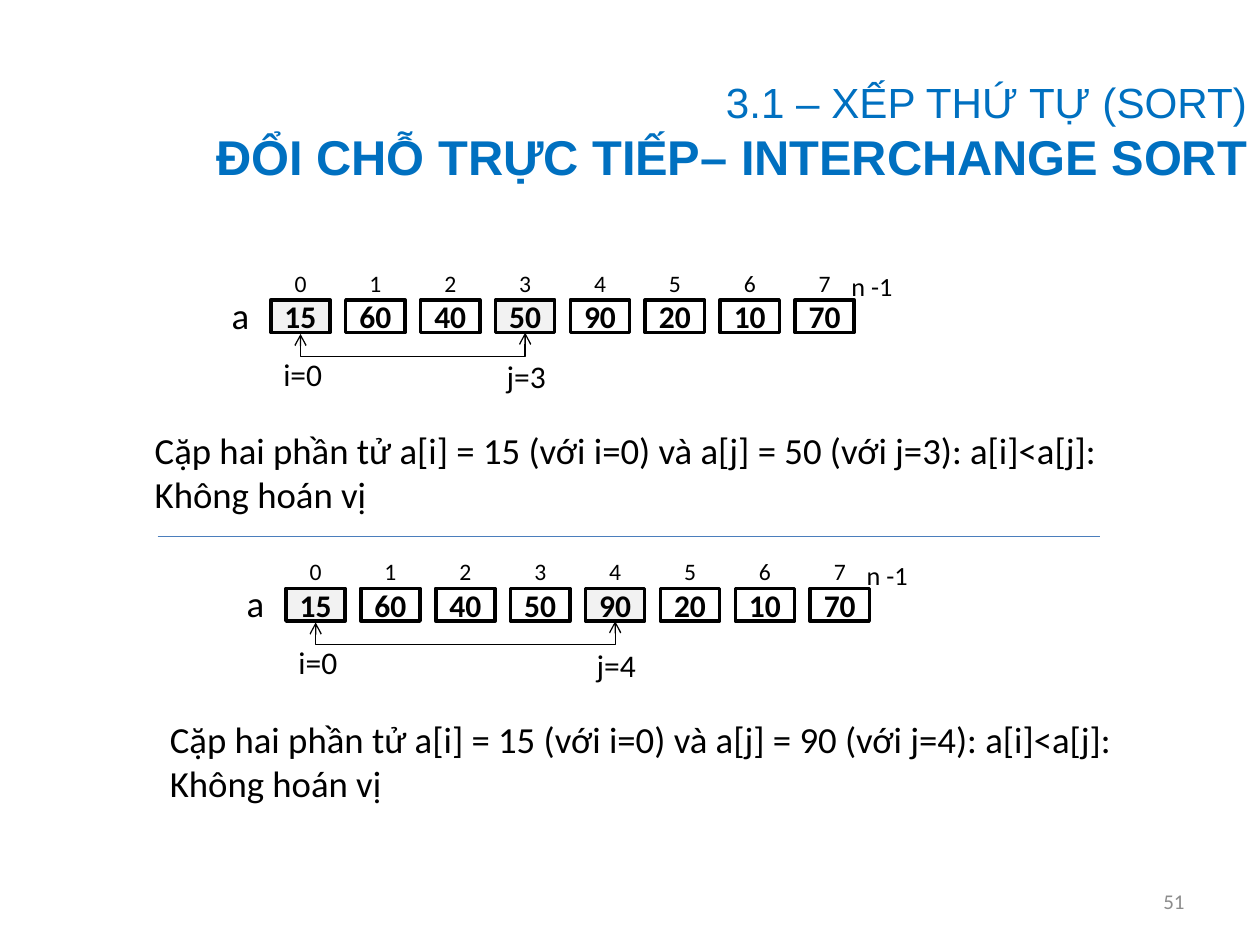
from pptx import Presentation
from pptx.dml.color import RGBColor
from pptx.enum.shapes import MSO_CONNECTOR, MSO_SHAPE
from pptx.enum.text import MSO_ANCHOR, PP_ALIGN
from pptx.oxml.ns import qn
from pptx.util import Inches, Pt
from lxml.etree import SubElement

TITLE = ["3.1 – XẾP THỨ TỰ (SORT)", "ĐỔI CHỖ TRỰC TIẾP– INTERCHANGE SORT"]
VALUES = [15, 60, 40, 50, 90, 20, 10, 70]
STEPS = [
    {"i": 0, "j": 3, "left": 2.15, "top": 2.38},
    {"i": 0, "j": 4, "left": 2.27, "top": 4.67},
]
PAGE = "51"
THEME = {
    "body": "Calibri", "head": "Arial",
    "ink": "000000", "title": "0070C0", "muted": "8C8C8C", "rule": "4B7EBC",
    "cell": "FFFFFF", "active": "F2F2F2",
    "kicker": 24.1, "heading": 27.9, "text": 21, "value": 18,
    "bound": 15, "index": 13.5, "page": 12,
}
CELL_W, CELL_H, PITCH, DROP = 0.47, 0.26, 4.16 / 7, 0.19


def rgb(name):
    """Return a theme colour."""
    return RGBColor.from_string(THEME[name])


def write(s, lines, sizes, color="ink", font="body", align=None, bolds=(False,)):
    """Fill a shape with one paragraph per line."""
    tf = s.text_frame
    tf.word_wrap = True
    tf.vertical_anchor = MSO_ANCHOR.MIDDLE
    for n, line in enumerate(lines):
        p = tf.paragraphs[0] if n == 0 else tf.add_paragraph()
        p.text = line
        p.alignment = align
        p.font.name = THEME[font]
        p.font.size = Pt(THEME[sizes[n % len(sizes)]])
        p.font.bold = bolds[n % len(bolds)]
        p.font.color.rgb = rgb(color)
    return tf


def add_text(sp, box, lines, *sizes, **style):
    """Add a text box."""
    s = sp.add_textbox(*map(Inches, box))
    return write(s, lines, sizes, **style)


def add_line(sp, kind, ends, color):
    """Add a thin connector without a shadow."""
    c = sp.add_connector(kind, *map(Inches, ends))
    c.line.color.rgb = rgb(color)
    c.line.width = Pt(0.75)
    SubElement(c._element.spPr, qn("a:effectLst"))
    return c


def add_bracket(sp, x_i, x_j, y):
    """Join two cells from below with a double-headed elbow."""
    depth, mid, half = 0.01, (x_i + x_j) / 2, (x_j - x_i) / 2
    cy = y + depth / 2
    ends = (mid - depth / 2, cy - half, mid + depth / 2, cy + half)
    c = add_line(sp, MSO_CONNECTOR.ELBOW, ends, "ink")
    pr = c._element.spPr
    pr.find(qn("a:xfrm")).set("rot", "5400000")
    geom = pr.find(qn("a:prstGeom"))
    av = geom.find(qn("a:avLst"))
    if av is None:
        av = SubElement(geom, qn("a:avLst"))
    SubElement(av, qn("a:gd"), name="adj1", fmla=f"val {round(DROP / depth * 100000)}")
    for end in ("a:headEnd", "a:tailEnd"):
        SubElement(pr.find(qn("a:ln")), qn(end), type="arrow")


def add_step(sp, i, j, left, top):
    """Draw the array, its pointers and the comparison sentence."""
    xs = [left + n * PITCH for n in range(len(VALUES))]
    for n, (x, value) in enumerate(zip(xs, VALUES)):
        s = sp.add_shape(MSO_SHAPE.RECTANGLE, *map(Inches, (x, top, CELL_W, CELL_H)))
        s.shadow.inherit = False
        s.fill.solid()
        s.fill.fore_color.rgb = rgb("active" if n in (i, j) else "cell")
        s.line.color.rgb = rgb("ink")
        s.line.width = Pt(2)
        cell = write(s, [str(value)], ["value"], align=PP_ALIGN.CENTER, bolds=(True,))
        index = add_text(sp, (x, top - 0.2, CELL_W, 0.13), [str(n)], "index",
                         align=PP_ALIGN.CENTER)
        for tf in (cell, index):
            tf.margin_left = tf.margin_right = 0
    add_text(sp, (left - 0.41, top + 0.01, 0.34, 0.21), ["a"], "text")
    add_text(sp, (left + 4.51, top - 0.17, 0.84, 0.12), ["n -1"], "bound")
    add_text(sp, (xs[i], top + 0.48, 0.72, 0.21), [f"i={i}"], "value")
    add_text(sp, (xs[j] - 0.01, top + 0.5, 0.72, 0.21), [f"j={j}"], "value")
    add_bracket(sp, xs[i] + CELL_W / 2, xs[j] + CELL_W / 2, top + CELL_H)
    pair = (f"Cặp hai phần tử a[i] = {VALUES[i]} (với i={i}) và "
            f"a[j] = {VALUES[j]} (với j={j}): a[i]<a[j]:")
    add_text(sp, (left - 1.02, top + 0.75, 7.74, 1.23), [pair, "Không hoán vị"], "text")


def main():
    """Build the slide."""
    prs = Presentation()
    prs.slide_width, prs.slide_height = Inches(10), Inches(7.5)
    sp = prs.slides.add_slide(prs.slide_layouts[6]).shapes
    add_text(sp, (0, 0.5, 10, 1.08), TITLE, "kicker", "heading", color="title",
             font="head", align=PP_ALIGN.RIGHT, bolds=(False, True))
    for step in STEPS:
        add_step(sp, **step)
    add_line(sp, MSO_CONNECTOR.STRAIGHT, (1.25, 4.26, 8.73, 4.26), "rule")
    add_text(sp, (7.17, 6.95, 2.33, 0.4), [PAGE], "page", color="muted",
             align=PP_ALIGN.RIGHT)
    prs.save("out.pptx")


if __name__ == "__main__":
    main()
